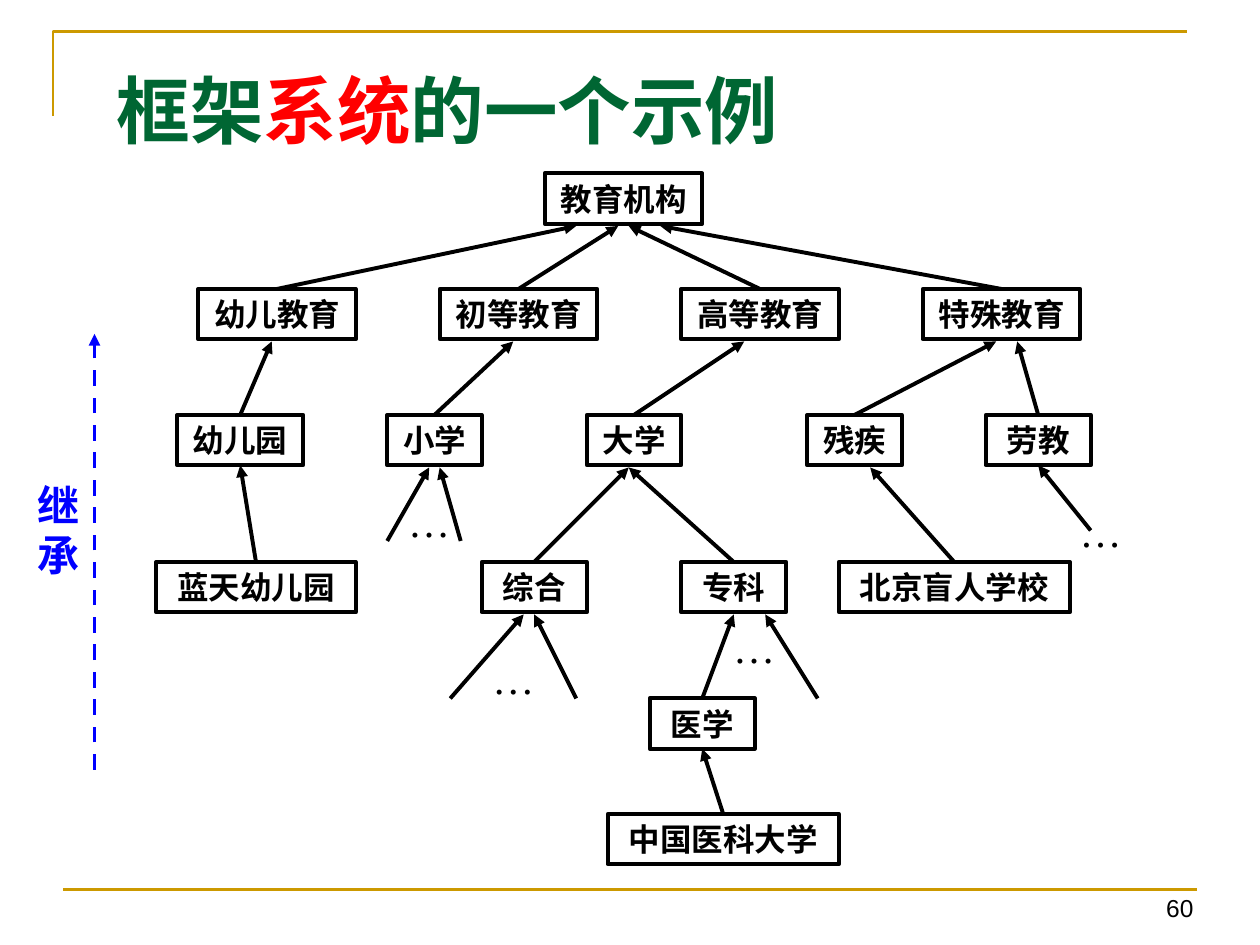
"""Build a slide showing a frame system as a tree of schools."""
from pptx import Presentation
from pptx.dml.color import RGBColor
from pptx.enum.dml import MSO_LINE
from pptx.enum.shapes import MSO_CONNECTOR, MSO_SHAPE
from pptx.enum.text import MSO_ANCHOR, PP_ALIGN
from pptx.oxml.ns import qn
from pptx.util import Inches, Pt
from lxml import etree

RECT, STRAIGHT, DASH = MSO_SHAPE.RECTANGLE, MSO_CONNECTOR.STRAIGHT, MSO_LINE.DASH
LEFT, MID, RIGHT = PP_ALIGN.LEFT, PP_ALIGN.CENTER, PP_ALIGN.RIGHT
TOP, CENTRE = MSO_ANCHOR.TOP, MSO_ANCHOR.MIDDLE
BLACK, GOLD, GREEN, RED, BLUE = "000000", "CC9900", "006633", "FF0000", "0000FF"
CELL = 1 / 12
COL = [Inches(n * CELL - 0.01) for n in range(121)]
ROW = [Inches(n * CELL - 0.04) for n in range(91)]

prs = Presentation()
prs.slide_width, prs.slide_height = Inches(10), Inches(7.5)
slide = prs.slides.add_slide(prs.slide_layouts[6])
shapes = slide.shapes


def write(text, shape=None, at=None, size=18, font="Times New Roman", color=BLACK,
          bold=False, align=MID, anchor=TOP, pitch=None):
    shape = shape or shapes.add_textbox(*map(Inches, at))
    frame = shape.text_frame
    frame.word_wrap, frame.vertical_anchor = True, anchor
    para = frame.paragraphs[0]
    para.alignment = align
    if pitch:
        para.line_spacing = Pt(pitch)
    for part, hue in [(text, color)] if isinstance(text, str) else text:
        run = para.add_run()
        run.text = part
        run.font.size, run.font.name, run.font.bold = Pt(size), font, bold
        run.font.color.rgb = RGBColor.from_string(hue)


def draw(start, end, color=BLACK, width=2.25, head=True):
    line = shapes.add_connector(STRAIGHT, *start, *end)
    line.line.color.rgb = RGBColor.from_string(color)
    line.line.width = Pt(width)
    if head:
        etree.SubElement(line.line._get_or_add_ln(), qn("a:tailEnd"), type="triangle")
    etree.SubElement(line._element.spPr, qn("a:effectLst"))
    return line


path = shapes.build_freeform(Inches(0.42), Inches(0.92))
path.add_line_segments([(Inches(0.42), Inches(0.25)), (Inches(9.42), Inches(0.25))], close=False)
frame = path.convert_to_shape()
frame.shadow.inherit = False
frame.fill.background()
frame.line.color.rgb = RGBColor.from_string(GOLD)
frame.line.width = Pt(1.5)
draw((Inches(0.5), Inches(7.06)), (Inches(9.5), Inches(7.06)), GOLD, 1.5, False)
write("60", at=(8.55, 7.04, 1.02, 0.34), size=14, font="Arial", align=RIGHT)
write([("框架", GREEN), ("系统", RED), ("的一个示例", GREEN)], at=(0.83, 0.42, 8.5, 0.89),
      size=42, bold=True, align=LEFT, anchor=CENTRE, pitch=51)

tree = {
    17: [("教育机构", 52, 15)],
    28: [("幼儿教育", 19, 15), ("初等教育", 42, 15), ("高等教育", 65, 15), ("特殊教育", 88, 15)],
    40: [("幼儿园", 17, 12), ("小学", 37, 9), ("大学", 56, 9), ("残疾", 77, 9), ("劳教", 94, 10)],
    54: [("蓝天幼儿园", 15, 19), ("综合", 46, 10), ("专科", 65, 10), ("北京盲人学校", 80, 22)],
    67: [("医学", 62, 10)],
    78: [("中国医科大学", 58, 22)],
}
nodes = {}
for row, level in tree.items():
    for name, col, span in level:
        node = shapes.add_shape(RECT, COL[col], ROW[row], Inches(span * CELL), Inches(0.4))
        node.shadow.inherit = False
        node.fill.background()
        node.line.color.rgb = RGBColor.from_string(BLACK)
        node.line.width = Pt(2.25)
        write(name, node, bold=True, anchor=CENTRE)
        nodes[name] = node

links = [
    ("幼儿教育", 55, 22), ("初等教育", 59, 22), ("高等教育", 60, 22), ("特殊教育", 63, 22),
    ("幼儿园", 26, 33), ("小学", 49, 33), ("大学", 71, 33), ("残疾", 95, 33), ("劳教", 97, 33),
    ("综合", 60, 45), ("专科", 60, 45), ("北京盲人学校", 83, 45), ("医学", 70, 59),
]
for name, col, row in links:
    end = COL[col], ROW[row]
    draw(end, end).begin_connect(nodes[name], 0)
for child, parent in [("蓝天幼儿园", "幼儿园"), ("中国医科大学", "医学")]:
    link = draw((0, 0), (0, 0))
    link.begin_connect(nodes[child], 0)
    link.end_connect(nodes[parent], 2)

stubs = [(37, 52, 41, 45), (44, 52, 42, 45), (43, 67, 50, 59), (55, 67, 51, 59), (78, 67, 73, 59)]
for x, y, col, row in stubs:
    draw((COL[x], ROW[y]), (COL[col], ROW[row]))
stub = draw((COL[104], ROW[51]), (COL[99], ROW[45]))
stub.end_connect(nodes["劳教"], 2)

for x, y in [(3.07, 3.88), (3.74, 5.13), (5.65, 4.88), (8.4, 3.96)]:
    write("…", at=(x, y, 0.67, 0.5), size=24)

climb = draw((Inches(0.75), Inches(6.11)), (Inches(0.75), Inches(2.65)), BLUE)
climb.line.dash_style = DASH
write("继承", at=(0.2, 3.75, 0.55, 0.9), size=24, font="Arial", color=BLUE, bold=True,
      align=LEFT, pitch=29)

prs.save("out.pptx")
